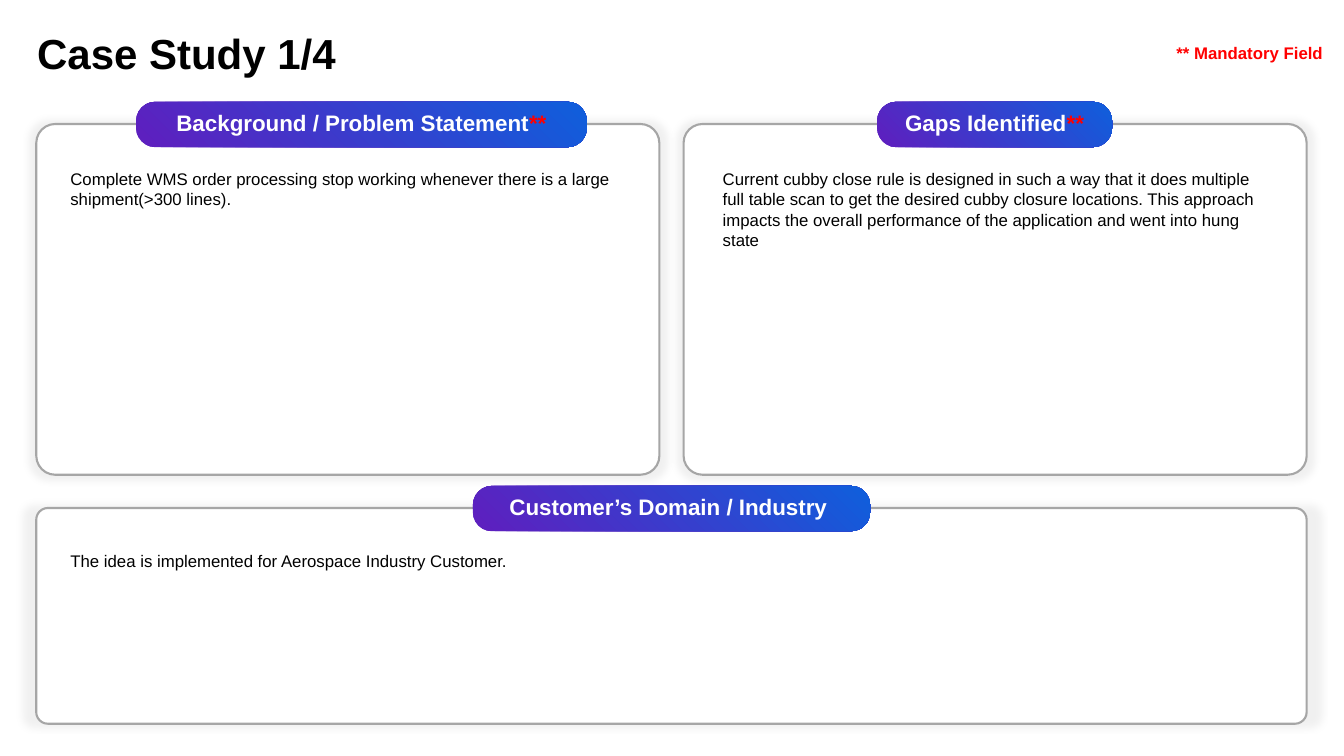
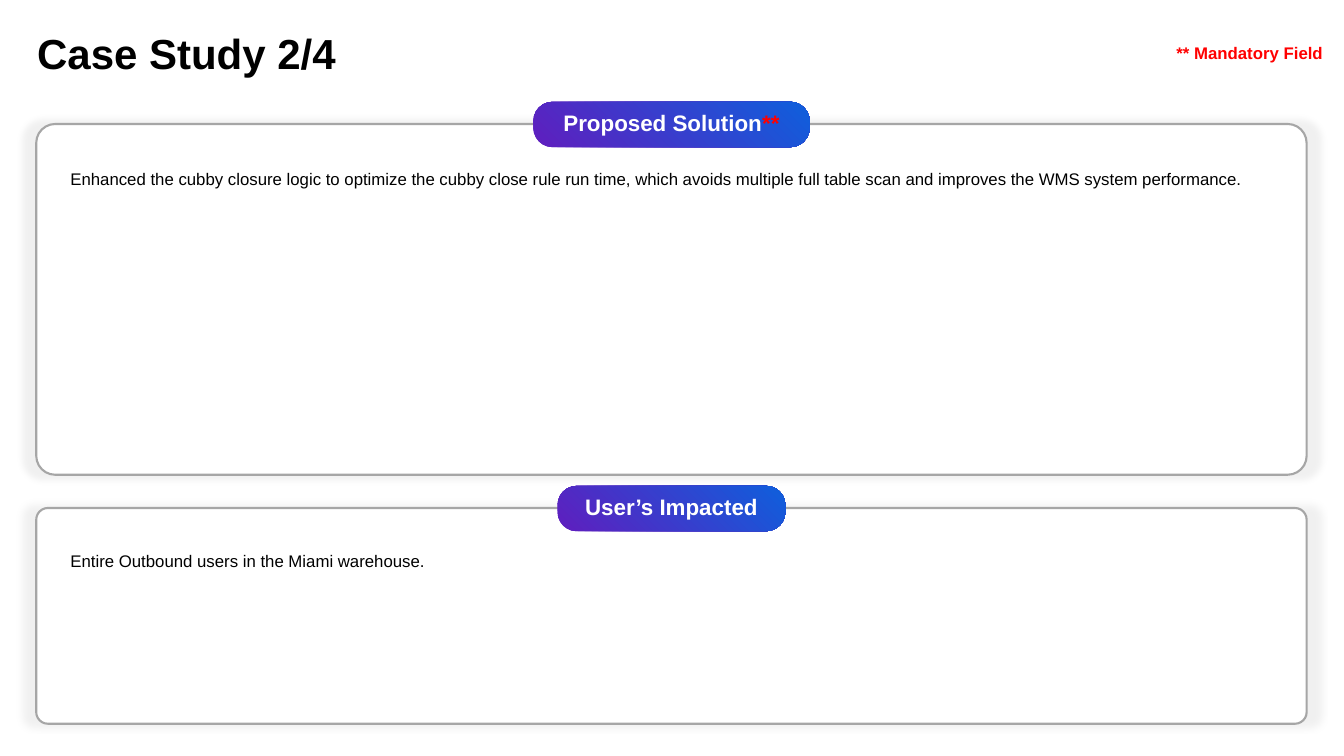
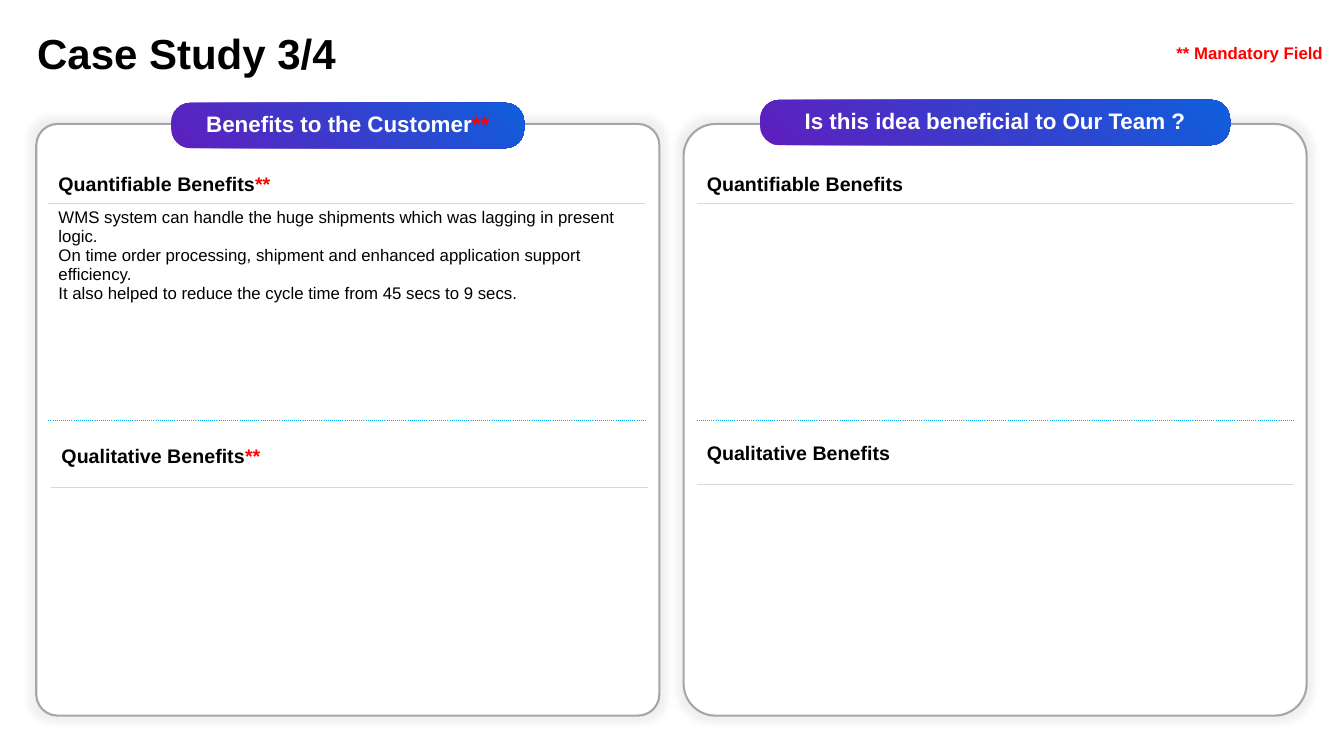
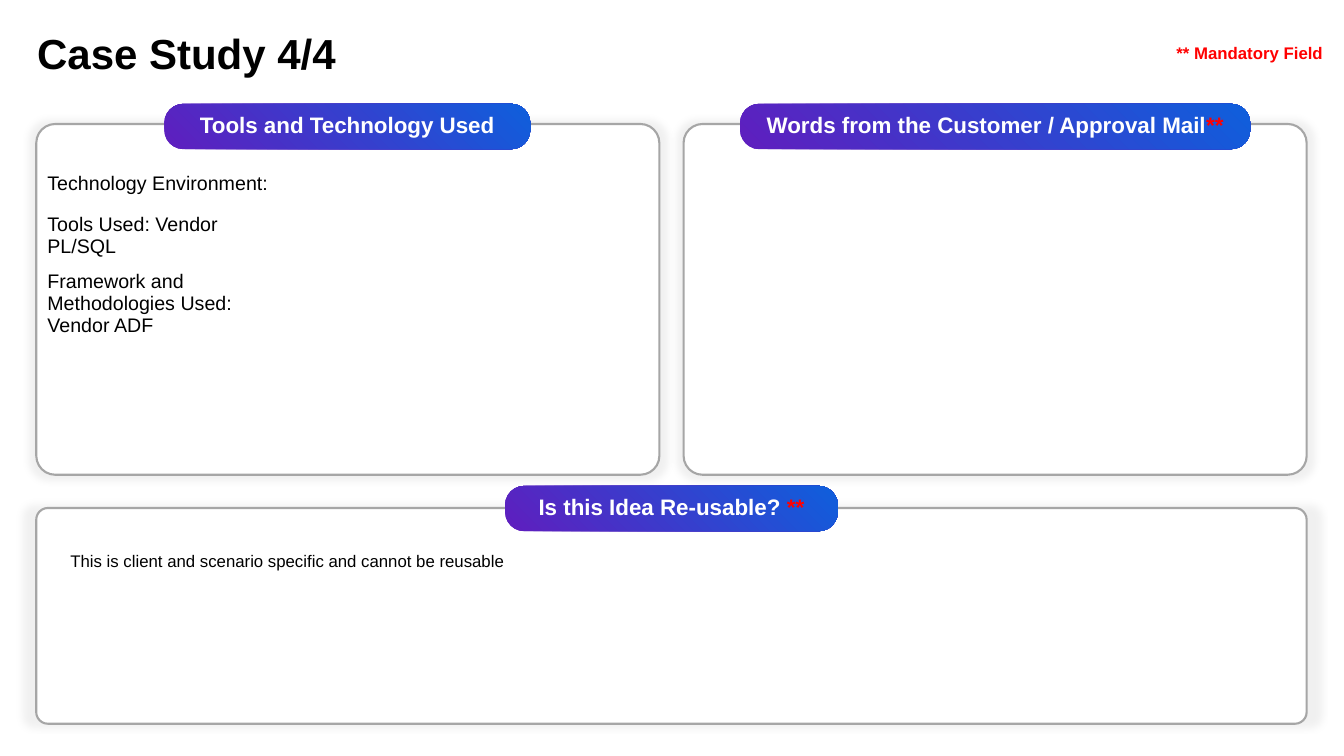
from dataclasses import dataclass
from typing import NamedTuple

from lxml.etree import SubElement
from pptx import Presentation
from pptx.dml.color import RGBColor
from pptx.enum.shapes import MSO_SHAPE
from pptx.enum.text import MSO_ANCHOR, MSO_AUTO_SIZE, PP_ALIGN
from pptx.oxml import parse_xml
from pptx.oxml.ns import nsdecls, qn
from pptx.util import Emu, Pt

PX = 9144


@dataclass(frozen=True)
class Theme:
    font: str = "Arial"
    ink: str = "000000"
    paper: str = "FFFFFF"
    mandatory: str = "FF0000"
    outline: str = "A6A6A6"
    rule: str = "D9D9D9"
    divider: str = "00B0F0"
    pill_colours: tuple = ("5F1EBE", "0F5FDC")
    title_size: int = 30
    pill_size: int = 16
    label_size: int = 14
    body_size: int = 12
    pill_leading: float = 17
    body_leading: float = 14.6
    no_grid_style: str = "{2D5ABB26-0587-4C30-8999-92F81FD0307C}"


class Box(NamedTuple):
    left: int
    top: int
    width: int
    height: int

    def inner(self, dx, dy, width, height):
        return Box(self.left + dx, self.top + dy, width, height)

    def emu(self):
        return [Emu(length * PX) for length in self]


THEME = Theme()
MARK = "**"
TITLE = Box(27, 24, 1269, 57)
NOTICE = Box(1157, 37, 166, 30)
UPPER_LEFT = Box(36, 123, 618, 348)
UPPER_RIGHT = Box(678, 123, 618, 348)
UPPER_WIDE = Box(36, 123, 1260, 348)
LOWER_WIDE = Box(36, 504, 1260, 214)
TALL_LEFT = Box(36, 123, 618, 587)
TALL_RIGHT = Box(678, 123, 618, 587)


def apply_format(target, formats):
    for attribute, value in formats.items():
        setattr(target, attribute, value)


def write(frame, paragraphs, size, colour=THEME.ink, bold=False, **layout):
    for position, wording in enumerate(paragraphs):
        paragraph = frame.paragraphs[0] if position == 0 else frame.add_paragraph()
        apply_format(paragraph, layout)
        plain = wording.removesuffix(MARK)
        pieces = [(plain, colour)]
        if plain != wording:
            pieces.append((MARK, THEME.mandatory))
        for words, shade in pieces:
            run = paragraph.add_run()
            run.text = words
            apply_format(run.font, {"name": THEME.font, "size": Pt(size), "bold": bold})
            run.font.color.rgb = RGBColor.from_string(shade)


def add_text(slide, box, wording, size, frame_format=None, **style):
    frame = slide.shapes.add_textbox(*box.emu()).text_frame
    apply_format(frame, {"word_wrap": True, **(frame_format or {})})
    write(frame, [wording], size, **style)


def add_note(slide, box, wording, **style):
    add_text(slide, box, wording, THEME.body_size,
             {"auto_size": MSO_AUTO_SIZE.SHAPE_TO_FIT_TEXT},
             line_spacing=Pt(THEME.body_leading), **style)


def add_rounded(slide, box, corner):
    rounded = slide.shapes.add_shape(MSO_SHAPE.ROUNDED_RECTANGLE, *box.emu())
    rounded.adjustments[0] = corner
    rounded.shadow.inherit = False
    return rounded


def add_panel(slide, box, corner=0.054):
    panel = add_rounded(slide, box, corner)
    panel.fill.solid()
    panel.fill.fore_color.rgb = RGBColor.from_string(THEME.paper)
    panel.line.color.rgb = RGBColor.from_string(THEME.outline)
    panel.line.width = Pt(1.5)
    effects = panel._element.spPr.find(qn("a:effectLst"))
    halo = SubElement(effects, qn("a:outerShdw"), blurRad="63500", sx="102000",
                      sy="102000", algn="ctr", rotWithShape="0")
    tint = SubElement(halo, qn("a:srgbClr"), val=THEME.ink)
    SubElement(tint, qn("a:alpha"), val="5000")


def add_pill(slide, panel_box, heading, width, rise=22, shift=0):
    centred = (panel_box.width - width) // 2
    pill = add_rounded(slide, panel_box.inner(centred + shift, -rise, width, 45), 0.422)
    pill.fill.gradient()
    pill.fill.gradient_angle = 45
    for stop, colour in zip(pill.fill.gradient_stops, THEME.pill_colours):
        stop.color.rgb = RGBColor.from_string(colour)
    pill.line.fill.background()
    apply_format(pill.text_frame,
                 {"word_wrap": True, "vertical_anchor": MSO_ANCHOR.MIDDLE})
    write(pill.text_frame, [heading], THEME.pill_size, THEME.paper, True,
          alignment=PP_ALIGN.CENTER, line_spacing=Pt(THEME.pill_leading))


def add_section(slide, box, heading, pill_width, body=None, indent=24, drop=39,
                body_width=566, body_height=30, corner=0.054, **pill_place):
    add_panel(slide, box, corner)
    add_pill(slide, box, heading, pill_width, **pill_place)
    if body:
        add_note(slide, box.inner(indent, drop, body_width, body_height), body)


def add_lower_section(slide, heading, pill_width, body):
    add_section(slide, LOWER_WIDE, heading, pill_width, body, drop=37, body_width=1213)


def add_grid(slide, box, columns, rows):
    grid = slide.shapes.add_table(len(rows), len(columns), *box.emu()).table
    apply_format(grid, {"first_row": False, "horz_banding": False})
    grid._tbl.tblPr.find(qn("a:tableStyleId")).text = THEME.no_grid_style
    for column, width in zip(grid.columns, columns):
        column.width = Emu(width * PX)
    for row, height in zip(grid.rows, rows):
        row.height = Emu(height * PX)
    for cell in grid.iter_cells():
        cell.fill.background()
    return grid


def underline(cell, colour, dash="solid"):
    cell._tc.get_or_add_tcPr().insert(0, parse_xml(
        f'<a:lnB {nsdecls("a")} w="12700"><a:solidFill><a:srgbClr val="{colour}"/>'
        f'</a:solidFill><a:prstDash val="{dash}"/></a:lnB>'))


def add_benefits(slide, box, label, rows, details=(), divided=False):
    grid = add_grid(slide, box, [box.width], rows)
    header, content = grid.cell(0, 0), grid.cell(1, 0)
    write(header.text_frame, [label], THEME.label_size, bold=True)
    write(content.text_frame, details, THEME.body_size)
    underline(header, THEME.rule)
    if divided:
        underline(content, THEME.divider, "sysDot")


def add_benefit_pair(slide, box, mark, quantifiable_dx, qualitative_at, details=()):
    add_benefits(slide, box.inner(quantifiable_dx, 44, 592, 250),
                 "Quantifiable Benefits" + mark, [35, 215], details, divided=True)
    add_benefits(slide, box.inner(*qualitative_at, 592, 259),
                 "Qualitative Benefits" + mark, [47, 212])


def add_tools(slide, box, entries):
    grid = add_grid(slide, box, [251, 367], [41, 55, 77])
    for row, entry in enumerate(entries):
        write(grid.cell(row, 0).text_frame, [entry], THEME.label_size)


def build_background(slide):
    add_section(slide, UPPER_LEFT, "Background / Problem Statement**", 447,
                "Complete WMS order processing stop working whenever there is a large "
                "shipment(>300 lines).", body_height=50, shift=14)
    add_section(slide, UPPER_RIGHT, "Gaps Identified**", 233,
                "Current cubby close rule is designed in such a way that it does multiple "
                "full table scan to get the desired cubby closure locations. This approach "
                "impacts the overall performance of the application and went into hung state",
                indent=29, body_height=91)
    add_lower_section(slide, "Customer’s Domain / Industry ", 394,
                      "The idea is implemented for Aerospace Industry Customer.")


def build_solution(slide):
    add_section(slide, UPPER_WIDE, "Proposed Solution**", 274,
                "Enhanced the cubby closure logic to optimize the cubby close rule run "
                "time, which avoids multiple full table scan and improves the WMS system "
                "performance.", body_width=1213)
    add_lower_section(slide, "User’s Impacted", 226,
                      "Entire Outbound users in the Miami warehouse.")


def build_benefits(slide):
    add_section(slide, TALL_LEFT, "Benefits to the Customer**", 350,
                corner=0.036, rise=21)
    add_section(slide, TALL_RIGHT, "Is this idea beneficial to Our Team ?", 466, rise=24)
    add_benefit_pair(slide, TALL_LEFT, MARK, 12, (15, 314), [
        "WMS system can handle the huge shipments which was lagging in present logic.",
        "On time order processing, shipment and enhanced application support efficiency.",
        "It also helped to reduce the cycle time from 45 secs to 9 secs.",
    ])
    add_benefit_pair(slide, TALL_RIGHT, "", 13, (13, 311))


def build_tools(slide):
    add_section(slide, UPPER_LEFT, "Tools and Technology Used", 363, rise=20)
    add_section(slide, UPPER_RIGHT, "Words from the Customer / Approval Mail**", 506, rise=20)
    add_lower_section(slide, "Is this Idea Re-usable? **", 330,
                      "This is client and scenario specific and cannot be reusable")
    add_tools(slide, UPPER_LEFT.inner(1, 43, 618, 173), [
        "Technology Environment:",
        "Tools Used: Vendor PL/SQL",
        "Framework and Methodologies Used: Vendor ADF",
    ])


def main():
    deck = Presentation()
    apply_format(deck, {"slide_width": Emu(1333 * PX), "slide_height": Emu(750 * PX)})
    builders = [build_background, build_solution, build_benefits, build_tools]
    for number, build in enumerate(builders, 1):
        slide = deck.slides.add_slide(deck.slide_layouts[6])
        add_text(slide, TITLE, f"Case Study {number}/{len(builders)}", THEME.title_size,
                 {"vertical_anchor": MSO_ANCHOR.MIDDLE}, bold=True)
        build(slide)
        add_note(slide, NOTICE, "** Mandatory Field", colour=THEME.mandatory, bold=True)
    deck.save("out.pptx")


if __name__ == "__main__":
    main()
